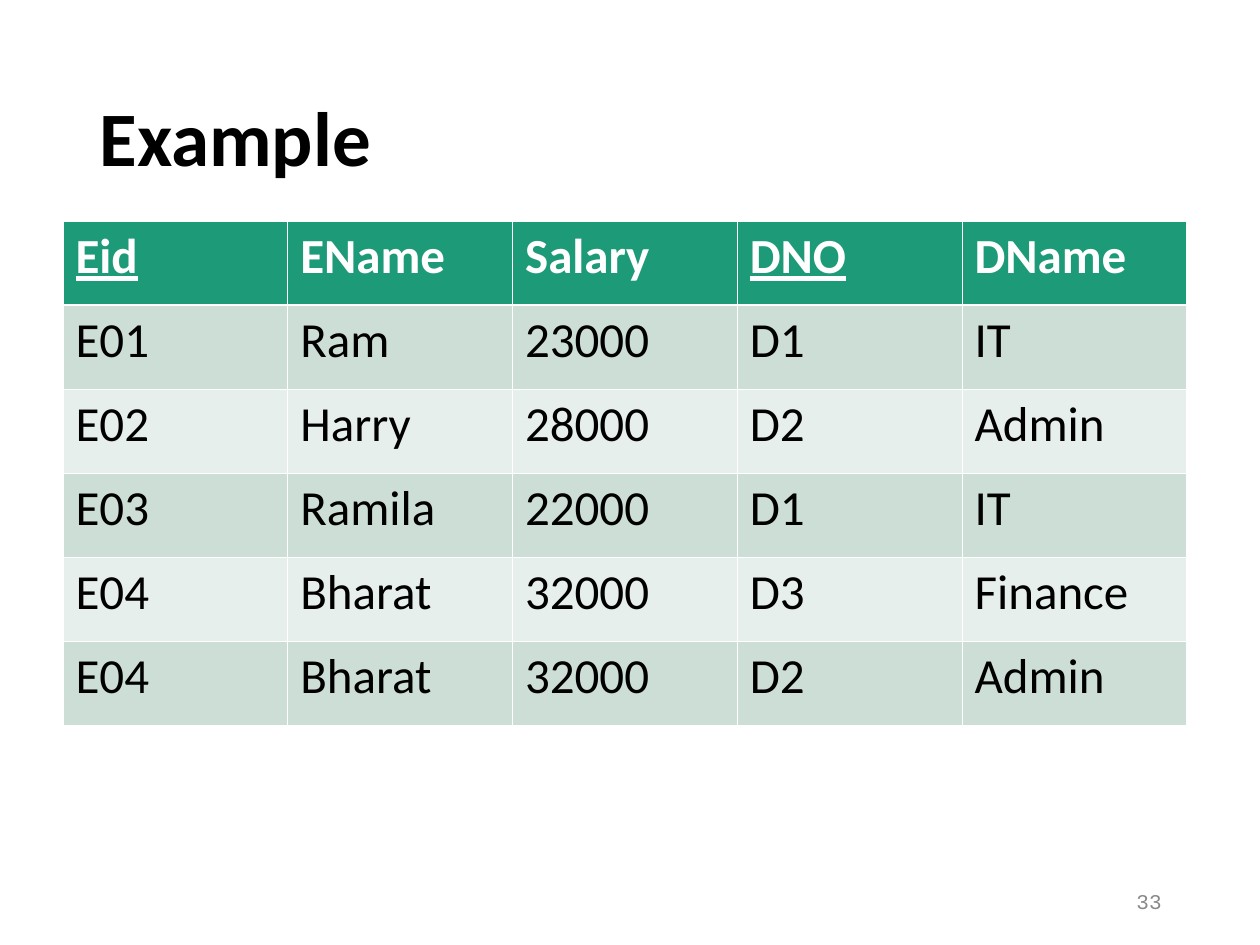
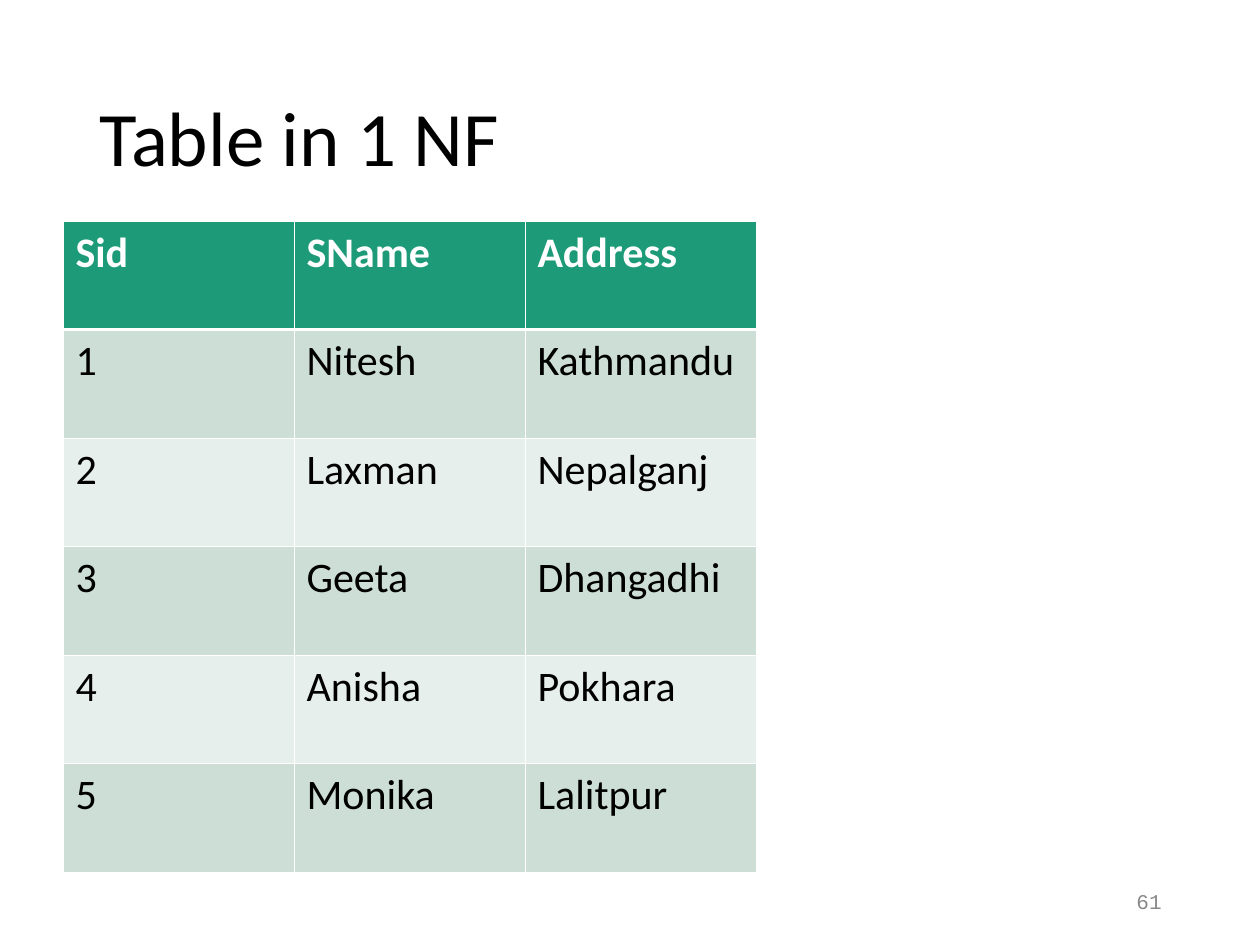
from dataclasses import dataclass

from lxml.etree import SubElement
from pptx import Presentation
from pptx.dml.color import RGBColor as RGB
from pptx.enum.text import MSO_ANCHOR as ANCHOR, PP_ALIGN as ALIGN
from pptx.oxml.ns import qn
from pptx.util import Pt

SLIDES = [
    {
        "title": "Example", "title_bold": True, "number": "33",
        "width": 1124, "height": 504, "size": 28, "keys": ("Eid", "DNO"),
        "rows": [
            ("Eid", "EName", "Salary", "DNO", "DName"),
            ("E01", "Ram", "23000", "D1", "IT"),
            ("E02", "Harry", "28000", "D2", "Admin"),
            ("E03", "Ramila", "22000", "D1", "IT"),
            ("E04", "Bharat", "32000", "D3", "Finance"),
            ("E04", "Bharat", "32000", "D2", "Admin"),
        ],
    },
    {
        "title": "Table in 1 NF", "title_bold": False, "number": "61",
        "width": 693, "height": 651, "size": 24, "keys": (),
        "rows": [
            ("Sid", "SName", "Address"),
            ("1", "Nitesh", "Kathmandu"),
            ("2", "Laxman", "Nepalganj"),
            ("3", "Geeta", "Dhangadhi"),
            ("4", "Anisha", "Pokhara"),
            ("5", "Monika", "Lalitpur"),
        ],
    },
]

SLIDE_SIZE = (1260, 945)
TITLE_BOX = (87, 50, 1087, 183)
NUMBER_BOX = (890, 876, 284, 50)
TABLE_AT = (63, 221)


@dataclass(frozen=True)
class Theme:
    font: str = "Calibri"
    number_font: str = "Courier New"
    text: str = "000000"
    head_text: str = "FFFFFF"
    number: str = "898989"
    head: str = "1D9A78"
    bands: tuple = ("CCDED6", "E7EFEC")
    rule: str = "FFFFFF"
    thin: float = 0.45
    thick: float = 1.47
    title_size: int = 44
    number_size: int = 12


THEME = Theme()


def px(n):
    return round(n * 914400 / 126)


def place(sp, box):
    sp.left, sp.top, sp.width, sp.height = map(px, box)


def style(p, font, size, color, bold=False, underline=False):
    for r in p.runs:
        f = r.font
        f.name, f.size, f.bold, f.underline = font, Pt(size), bold, underline
        f.color.rgb = RGB.from_string(color)


def add_title(s, text, bold):
    sp = s.shapes.title
    place(sp, TITLE_BOX)
    tf = sp.text_frame
    tf.text = text
    tf.vertical_anchor = ANCHOR.MIDDLE
    p = tf.paragraphs[0]
    p.alignment, p.line_spacing = ALIGN.LEFT, 0.9
    style(p, THEME.font, THEME.title_size, THEME.text, bold)


def add_number(s, text):
    tf = s.shapes.add_textbox(*map(px, NUMBER_BOX)).text_frame
    tf.text = text
    tf.word_wrap = True
    tf.vertical_anchor = ANCHOR.MIDDLE
    p = tf.paragraphs[0]
    p.alignment = ALIGN.RIGHT
    style(p, THEME.number_font, THEME.number_size, THEME.number)


def set_borders(cell, row):
    tc_pr = cell._tc.get_or_add_tcPr()
    thick_side = {0: "B", 1: "T"}.get(row)
    for side in "LRTB":
        width = THEME.thick if side == thick_side else THEME.thin
        ln = SubElement(tc_pr, qn(f"a:ln{side}"), w=str(Pt(width)))
        fill = SubElement(ln, qn("a:solidFill"))
        SubElement(fill, qn("a:srgbClr"), val=THEME.rule)


def add_data_table(s, rows, width, height, size, keys):
    n_rows, n_cols = len(rows), len(rows[0])
    box = (*TABLE_AT, width, height)
    table = s.shapes.add_table(n_rows, n_cols, *map(px, box)).table
    for col in table.columns:
        col.width = px(width / n_cols)
    for i, values in enumerate(rows):
        table.rows[i].height = px(height / n_rows)
        head = i == 0
        for j, value in enumerate(values):
            cell = table.cell(i, j)
            cell.text = value
            set_borders(cell, i)
            cell.fill.solid()
            fill = THEME.head if head else THEME.bands[(i - 1) % 2]
            cell.fill.fore_color.rgb = RGB.from_string(fill)
            color = THEME.head_text if head else THEME.text
            style(cell.text_frame.paragraphs[0], THEME.font, size, color,
                  head, head and value in keys)


def main():
    prs = Presentation()
    prs.slide_width, prs.slide_height = map(px, SLIDE_SIZE)
    for d in SLIDES:
        s = prs.slides.add_slide(prs.slide_layouts[5])
        add_title(s, d["title"], d["title_bold"])
        add_data_table(s, d["rows"], d["width"], d["height"], d["size"], d["keys"])
        add_number(s, d["number"])
    prs.save("out.pptx")


if __name__ == "__main__":
    main()
